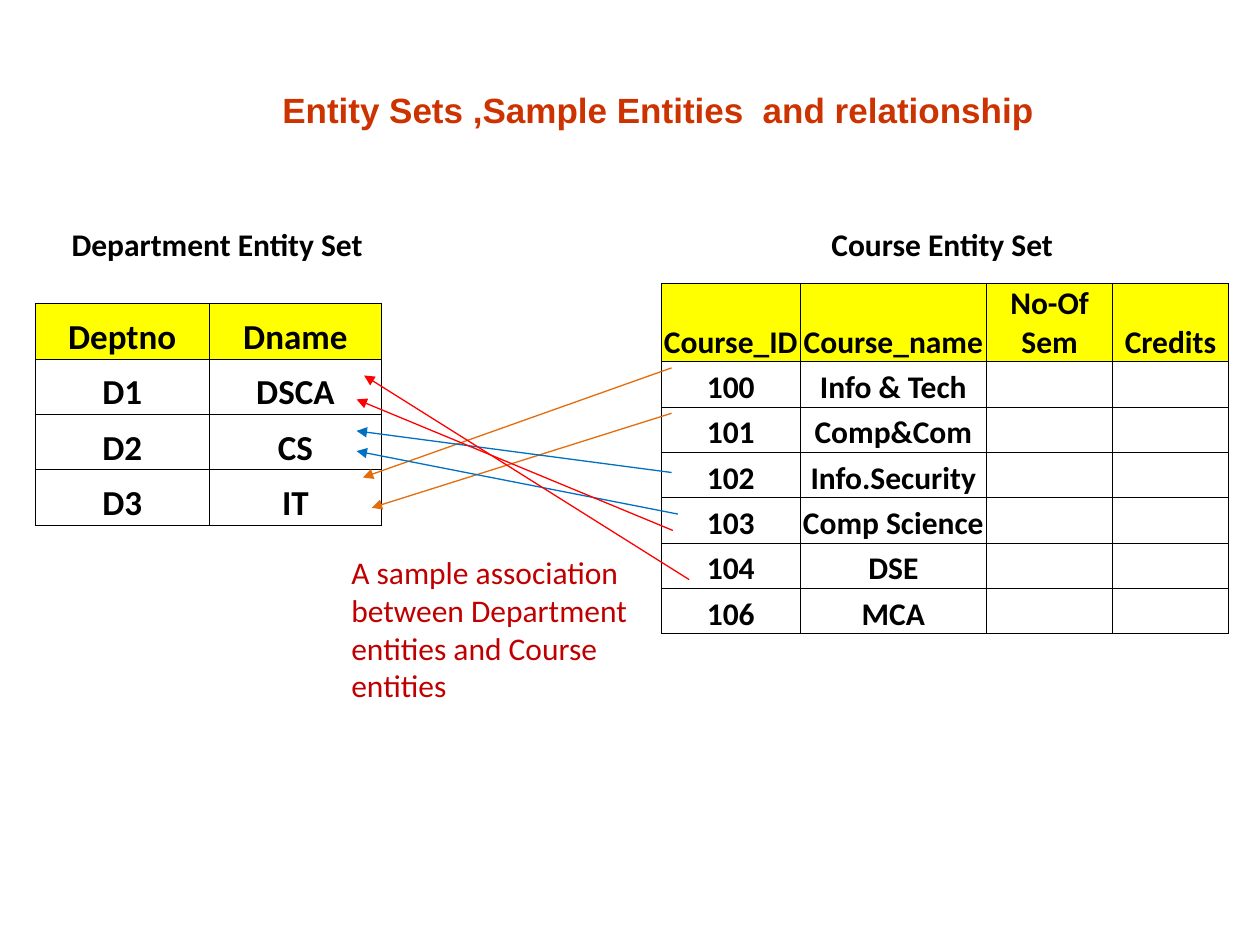
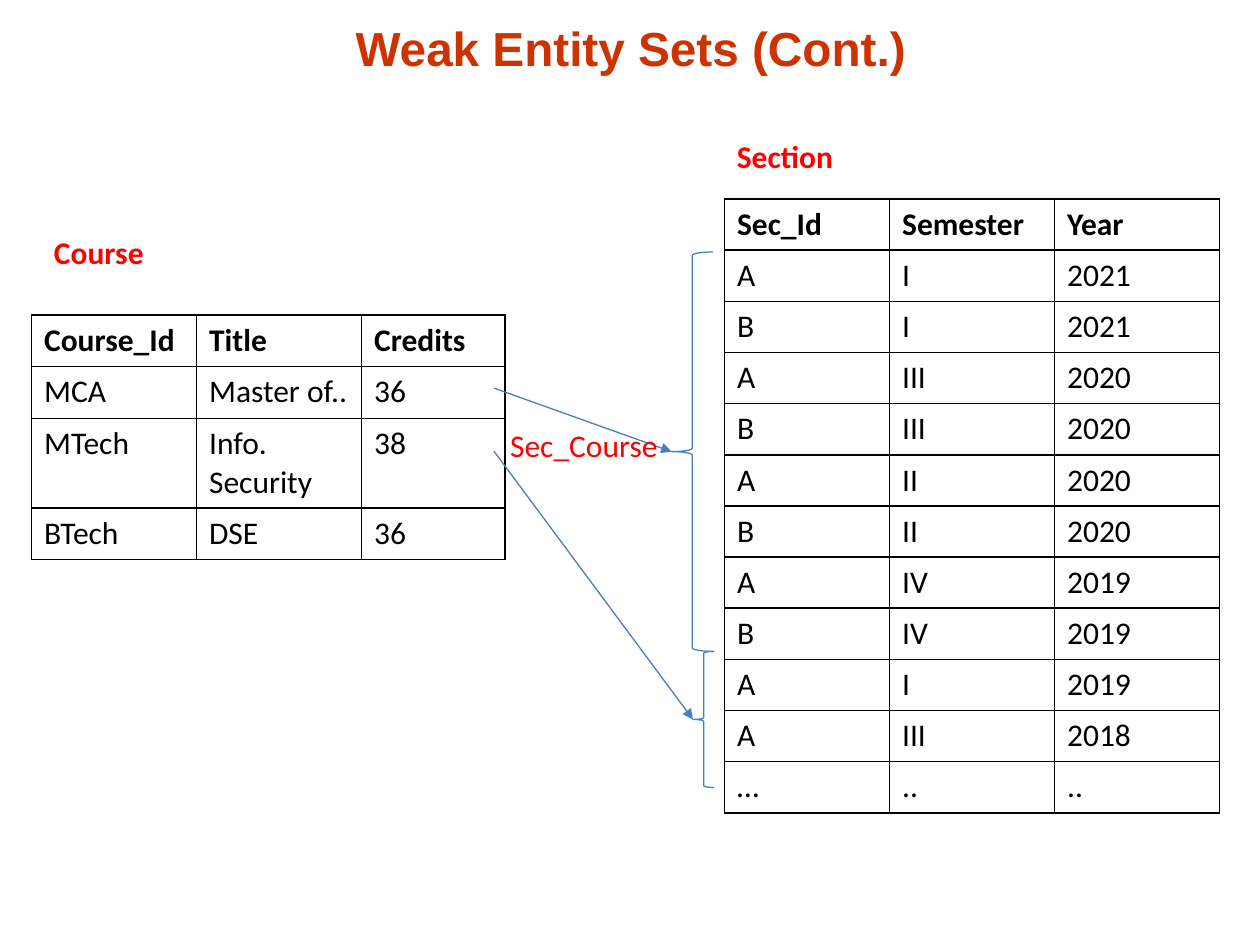
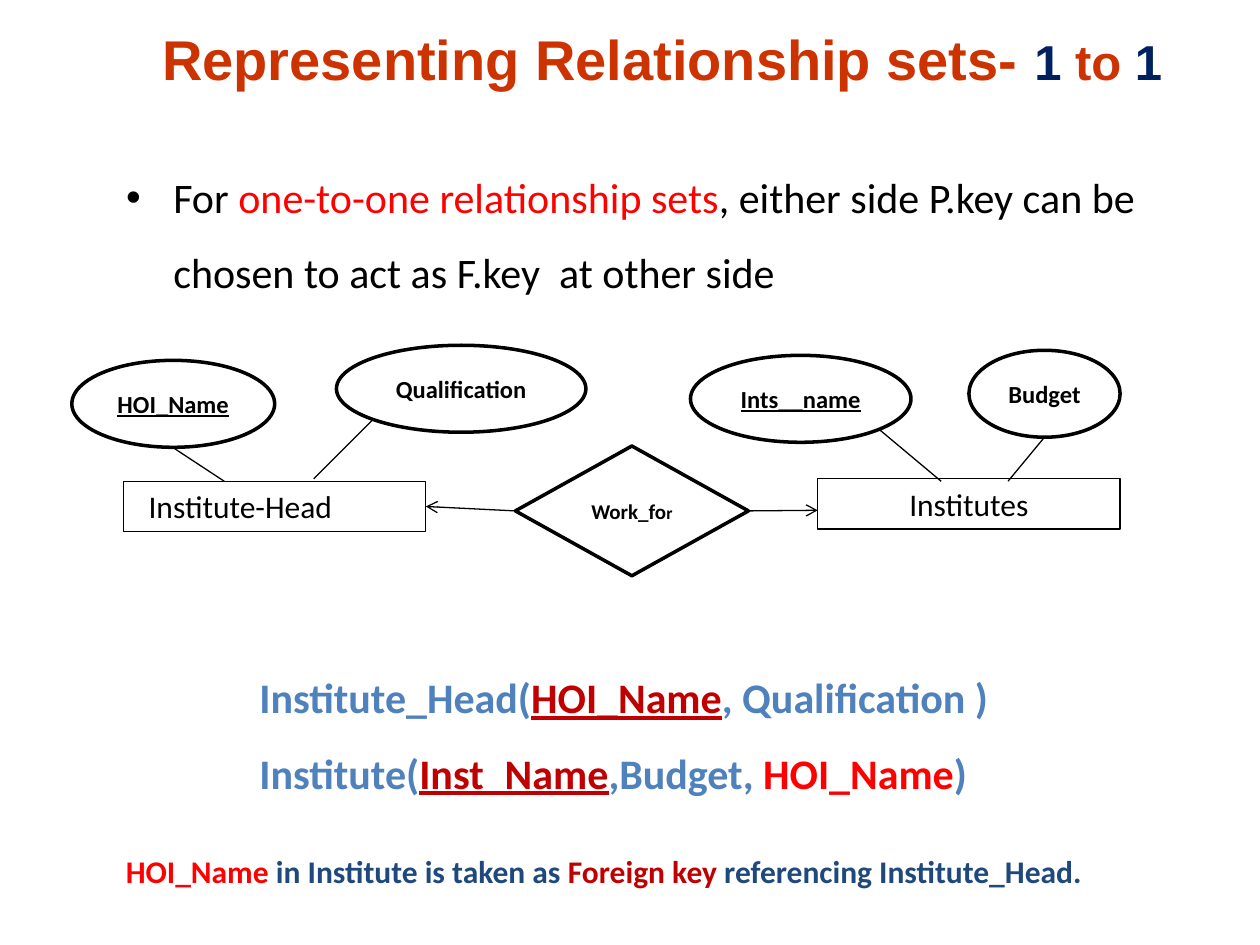
from dataclasses import dataclass

from lxml.etree import SubElement
from pptx import Presentation
from pptx.dml.color import RGBColor
from pptx.enum.shapes import MSO_CONNECTOR, MSO_SHAPE as SHAPE
from pptx.enum.text import MSO_ANCHOR as ANCHOR, MSO_AUTO_SIZE as FIT, PP_ALIGN as ALIGN
from pptx.oxml import parse_xml
from pptx.oxml.ns import nsdecls, qn
from pptx.util import Inches, Pt


@dataclass(frozen=True)
class Theme:
    """Colours, fonts and type sizes shared by the slides."""
    title: str = "CC3300"
    ink: str = "000000"
    paper: str = "FFFFFF"
    header: str = "FFFF00"
    red: str = "FF0000"
    dark_red: str = "C00000"
    orange: str = "E46C0A"
    azure: str = "0070C0"
    brace: str = "4B7EBC"
    schema: str = "4F81BD"
    navy: str = "1F497D"
    digit: str = "002060"
    title_font: str = "Arial"
    body_font: str = "Calibri"
    small: float = 12
    attribute: float = 14
    body: float = 18
    large: float = 20
    heading: float = 24
    thin: float = 0.75
    thick: float = 2


THEME = Theme()


def rgb(code):
    """Turn a hex code into a colour."""
    return RGBColor.from_string(code)


def place(box):
    """Turn left, top, width and height into lengths."""
    return [Inches(value) for value in box]


def write(paragraph, runs, **base):
    """Add runs, each a string or a (string, format) pair, to a paragraph."""
    for part in runs:
        words, changes = (part, {}) if isinstance(part, str) else part
        look = {"name": THEME.body_font, "size": THEME.body, "color": THEME.ink,
                "bold": False, **base, **changes}
        run = paragraph.add_run()
        run.text = words
        run.font.color.rgb = rgb(look.pop("color"))
        look["size"] = Pt(look["size"])
        for attribute, value in look.items():
            setattr(run.font, attribute, value)


def fill_frame(frame, lines, align=ALIGN.LEFT, anchor=ANCHOR.TOP, wrap=True,
               spacing=None, **base):
    """Lay out paragraphs of runs in a text frame."""
    settings = {"word_wrap": wrap, "auto_size": FIT.NONE, "vertical_anchor": anchor}
    for attribute, value in settings.items():
        setattr(frame, attribute, value)
    for index, runs in enumerate(lines):
        paragraph = frame.add_paragraph() if index else frame.paragraphs[0]
        paragraph.alignment = align
        if spacing:
            paragraph.line_spacing = spacing
        write(paragraph, runs, **base)


def move(holder, box):
    """Move a placeholder to a box."""
    holder.left, holder.top, holder.width, holder.height = place(box)


def add_title(slide, box, runs, size, **layout):
    """Fill the title placeholder in the shared title style."""
    move(slide.shapes.title, box)
    style = {"align": ALIGN.CENTER, "anchor": ANCHOR.MIDDLE, **layout}
    fill_frame(slide.shapes.title.text_frame, [runs], name=THEME.title_font, size=size,
               color=THEME.title, bold=True, **style)


def add_text(slide, box, lines, **style):
    """Add a text box."""
    fill_frame(slide.shapes.add_textbox(*place(box)).text_frame, lines, **style)


def add_node(slide, kind, box, color=THEME.ink, weight=THEME.thin, fill=None):
    """Add an outlined preset shape."""
    node = slide.shapes.add_shape(kind, *place(box))
    node.shadow.inherit = False
    node.line.color.rgb = rgb(color)
    node.line.width = Pt(weight)
    if fill:
        node.fill.solid()
        node.fill.fore_color.rgb = rgb(fill)
    else:
        node.fill.background()
    return node


def add_symbol(slide, kind, box, runs, **style):
    """Add a bold-outlined diagram symbol with centred text."""
    symbol = add_node(slide, kind, box, weight=THEME.thick, fill=THEME.paper)
    fill_frame(symbol.text_frame, [runs], align=ALIGN.CENTER, anchor=ANCHOR.MIDDLE,
               bold=True, **style)
    return symbol


def add_line(slide, start, end, color=THEME.ink, arrow=None, source=None, target=None):
    """Draw a line; source and target are (shape, site) pairs to join."""
    line = slide.shapes.add_connector(MSO_CONNECTOR.STRAIGHT, *place(start + end))
    line.line.color.rgb = rgb(color)
    line.line.width = Pt(THEME.thin)
    properties = line.element.spPr
    if arrow:
        SubElement(properties.find(qn("a:ln")), qn("a:tailEnd"), type=arrow)
    SubElement(properties, qn("a:effectLst"))
    if source:
        line.begin_connect(*source)
    if target:
        line.end_connect(*target)


def add_borders(cell, weight):
    """Draw the four borders of a table cell."""
    properties = cell._tc.get_or_add_tcPr()
    for index, side in enumerate(("lnL", "lnR", "lnT", "lnB")):
        properties.insert(index, parse_xml(
            f'<a:{side} {nsdecls("a")} w="{Pt(weight)}"><a:solidFill>'
            f'<a:srgbClr val="{THEME.ink}"/></a:solidFill></a:{side}>'))


def add_grid(slide, corner, widths, heights, rows, border, header=None, tight=False,
             spacing=None, bold=False, size=THEME.body):
    """Add a bordered table with a bold first row."""
    box = place((*corner, sum(widths), sum(heights)))
    table = slide.shapes.add_table(len(rows), len(widths), *box).table
    table.first_row = table.horz_banding = False
    for column, width in zip(table.columns, widths):
        column.width = Inches(width)
    for index, (row, height, values) in enumerate(zip(table.rows, heights, rows)):
        row.height = Inches(height)
        for cell, value in zip(row.cells, values):
            if header and index == 0:
                cell.fill.solid()
                cell.fill.fore_color.rgb = rgb(header)
            else:
                cell.fill.background()
            add_borders(cell, border)
            paragraph = cell.text_frame.paragraphs[0]
            if tight:
                cell.margin_left = cell.margin_right = cell.margin_top = Inches(0.01)
                cell.margin_bottom = 0
                cell.vertical_anchor = ANCHOR.BOTTOM
                paragraph.alignment = ALIGN.CENTER
            if spacing and index:
                paragraph.line_spacing = spacing
            if value:
                write(paragraph, [value], bold=bold or index == 0, size=size)


def build_entity_sets(slide):
    """Build the slide on entity sets and their association."""
    add_title(slide, (2.14, 0.6, 6.33, 0.5),
              ["Entity", (" ", {"name": THEME.body_font, "size": THEME.heading, "bold": True}),
               "Sets ,Sample Entities  and relationship"],
              THEME.large, align=ALIGN.LEFT, anchor=ANCHOR.TOP, wrap=False)
    for left, width, heading in ((0.47, 2.53, "Department Entity Set"),
                                 (6.5, 1.98, "Course Entity Set")):
        add_text(slide, (left, 1.74, width, 0.4), [[heading]], wrap=False, bold=True)

    entity_style = {"border": 0.5, "header": THEME.header, "tight": True, "bold": True}
    courses = [("100", "Info & Tech"), ("101", "Comp&Com"), ("102", "Info.Security"),
               ("103", "Comp Science"), ("104", "DSE"), ("106", "MCA")]
    add_grid(slide, (5.25, 2.25), (1.1, 1.48, 1, 0.92), [0.62] + [0.36] * 6,
             [("Course_ID", "Course_name", "No-Of Sem", "Credits")]
             + [(*course, "", "") for course in courses], spacing=1.14, **entity_style)
    add_grid(slide, (0.28, 2.41), (1.38, 1.37), [0.44] * 4,
             [("Deptno", "Dname"), ("D1", "DSCA"), ("D2", "CS"), ("D3", "IT")],
             size=THEME.large, **entity_style)

    associations = [((5.33, 2.92), (2.88, 3.79), THEME.orange),
                    ((5.33, 3.28), (2.95, 4.03), THEME.orange),
                    ((5.33, 3.75), (2.83, 3.42), THEME.azure),
                    ((5.38, 4.08), (2.83, 3.58), THEME.azure),
                    ((5.34, 4.21), (2.83, 3.17), THEME.red),
                    ((5.47, 4.6), (2.89, 2.98), THEME.red)]
    for course, department, color in associations:
        add_line(slide, course, department, color, "triangle")
    add_text(slide, (2.69, 4.34, 2.69, 1.31),
             [["A sample association between Department entities and Course entities"]],
             color=THEME.dark_red)


def build_weak_entities(slide):
    """Build the slide on weak entity sets."""
    add_title(slide, (0.59, 0, 8.83, 0.75), ["Weak Entity Sets (Cont.)"], 27.3)
    add_grid(slide, (0.25, 2.5), (1.31, 1.31, 1.14), (0.41, 0.41, 0.71, 0.41),
             [("Course_Id", "Title", "Credits"), ("MCA", "Master of..", "36"),
              ("MTech", "Info. Security", "38"), ("BTech", "DSE", "36")], border=1)
    sections = [("Sec_Id", "Semester", "Year"),
                ("A", "I", "2021"), ("B", "I", "2021"),
                ("A", "III", "2020"), ("B", "III", "2020"),
                ("A", "II", "2020"), ("B", "II", "2020"),
                ("A", "IV", "2019"), ("B", "IV", "2019"),
                ("A", "I", "2019"), ("A", "III", "2018"), ("…", "..", "..")]
    add_grid(slide, (5.75, 1.58), [1.31] * 3, [0.406] * len(sections), sections, border=1)

    for course_row, brace_box in ((3.08, (5.33, 2, 0.33, 3.17)),
                                  (3.58, (5.5, 5.17, 0.17, 1.08))):
        brace = add_node(slide, SHAPE.LEFT_BRACE, brace_box, THEME.brace)
        add_line(slide, (3.92, course_row), brace_box[:2], THEME.brace, "triangle",
                 target=(brace, 1))
    for box, label, bold in (((0.33, 1.8, 0.91, 0.4), "Course", True),
                             ((5.75, 1.04, 0.97, 0.4), "Section", True),
                             ((3.95, 3.33, 1.39, 0.4), "Sec_Course", False)):
        add_text(slide, box, [[label]], wrap=False, color=THEME.red, bold=bold)


def draw_one_to_one(slide):
    """Draw the entity-relationship diagram."""
    head = add_node(slide, SHAPE.RECTANGLE, (0.98, 3.82, 2.4, 0.4))
    head.text_frame.margin_left = Inches(0.2)
    fill_frame(head.text_frame, [["Institute-Head"]])
    institutes = add_node(slide, SHAPE.RECTANGLE, (6.49, 3.8, 2.4, 0.4))
    fill_frame(institutes.text_frame, [["Institutes"]], align=ALIGN.CENTER)
    work_for = add_symbol(slide, SHAPE.DIAMOND, (4.09, 3.54, 1.85, 1.03),
                          ["Work_fo", ("r", {"size": 10})], size=THEME.small)
    add_line(slide, (4.09, 4.05), (3.38, 4.02), arrow="arrow",
             source=(work_for, 1), target=(head, 3))
    add_line(slide, (5.94, 4.05), (6.49, 4.05), arrow="arrow", source=(work_for, 3))

    attributes = [("HOI_Name", True, (0.57, 2.86, 1.61), (1.37, 3.55), (1.78, 3.82)),
                  ("Qualification", False, (2.67, 2.74, 1.98), (2.96, 3.33), (2.49, 3.8)),
                  ("Ints__name", True, (5.48, 2.82, 1.75), (6.98, 3.41), (7.47, 3.82)),
                  ("Budget", False, (7.69, 2.78, 1.2), (8.29, 3.47), (8, 3.82))]
    for label, is_key, spot, start, end in attributes:
        add_symbol(slide, SHAPE.OVAL, (*spot, 0.69), [label],
                   size=THEME.attribute, underline=is_key)
        add_line(slide, start, end)


def build_one_to_one(slide):
    """Build the slide on one-to-one relationship sets."""
    digit = ("1", {"size": 28, "color": THEME.digit})
    add_title(slide, (0.84, 0.13, 8.83, 0.67),
              ["Representing Relationship sets- ", digit, (" to ", {"size": 28}), digit], 32)
    rule = slide.placeholders[1]
    move(rule, (0.9, 1.11, 8.5, 1.49))
    fill_frame(rule.text_frame,
               [["For ", ("one-to-one relationship sets", {"color": THEME.red}),
                 ", either side P.key can be chosen to act as F.key  at other side"]],
               spacing=1.5, size=THEME.heading)
    draw_one_to_one(slide)

    key = {"color": THEME.dark_red, "underline": True}
    foreign = ("HOI_Name", {"color": THEME.red})
    add_text(slide, (1.96, 5.08, 6.38, 1.25),
             [["Institute_Head(", ("HOI_Name", key), ", Qualification )"],
              ["Institute(", ("Inst_Name", key), ",Budget, ", foreign, ")"]],
             spacing=1.5, size=THEME.heading, color=THEME.schema, bold=True)
    add_text(slide, (0.9, 6.71, 8.07, 0.4),
             [[foreign, " in Institute is taken as ",
               ("Foreign key ", {"color": THEME.dark_red}), "referencing Institute_Head."]],
             color=THEME.navy, bold=True)


def main():
    """Build and save the presentation."""
    deck = Presentation()
    deck.slide_width, deck.slide_height = Inches(10), Inches(7.5)
    title_only, title_and_body = deck.slide_layouts[5], deck.slide_layouts[1]
    for layout, build in ((title_only, build_entity_sets),
                          (title_only, build_weak_entities),
                          (title_and_body, build_one_to_one)):
        build(deck.slides.add_slide(layout))
    deck.save("out.pptx")


if __name__ == "__main__":
    main()
